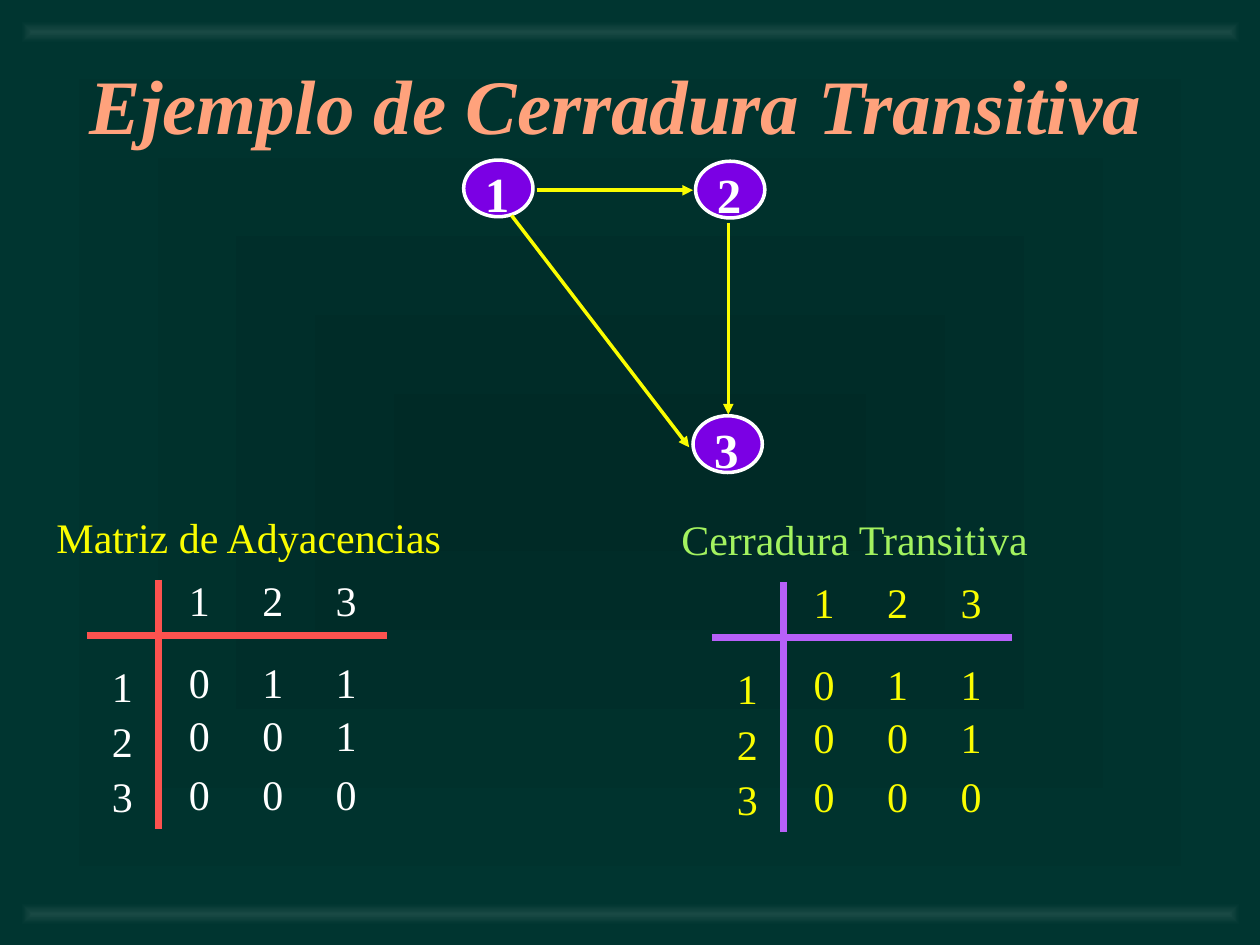
from lxml.etree import SubElement
from pptx import Presentation
from pptx.dml.color import RGBColor
from pptx.enum.shapes import MSO_CONNECTOR as CONNECTOR, MSO_SHAPE as SHAPE
from pptx.enum.text import MSO_ANCHOR as ANCHOR, PP_ALIGN as ALIGN
from pptx.oxml.ns import qn
from pptx.util import Inches, Pt

FONT = "Times New Roman"
COLORS = {
    "center": "002A26", "edge": "003530", "bar": "194944",
    "title": "FFA27C", "node": "7B00E4", "white": "FFFFFF",
    "yellow": "FAFD00", "red": "FC524F", "purple": "B760F9", "green": "A3F25F",
}
COLUMN_PITCH = 0.583


def rgb(name):
    return RGBColor.from_string(COLORS[name])


def fill_from_center(fill, element, inner, outer):
    """Give a fill a rectangular gradient that starts at its centre."""
    fill.gradient()
    for stop, name, position in zip(fill.gradient_stops, (inner, outer), (0, 1)):
        stop.color.rgb = rgb(name)
        stop.position = position
    gradient = element.find(".//" + qn("a:gradFill"))
    gradient.remove(gradient.find(qn("a:lin")))
    path = SubElement(gradient, qn("a:path"), path="rect")
    SubElement(path, qn("a:fillToRect"), l="50000", t="50000", r="50000", b="50000")


def add_text(page, left, top, width, height, lines, color, size=24, bold=False,
             italic=False, align=ALIGN.LEFT, spacing=None):
    box = page.shapes.add_textbox(Inches(left), Inches(top), Inches(width), Inches(height))
    frame = box.text_frame
    frame.word_wrap = True
    frame.text = "\n".join(lines)
    for para in frame.paragraphs:
        para.alignment = align
        if spacing:
            para.line_spacing = spacing
        for span in para.runs:
            font = span.font
            font.name, font.size, font.bold, font.italic = FONT, Pt(size), bold, italic
            font.color.rgb = rgb(color)
    return box


def add_line(page, start, end, color, width, arrow=False):
    line = page.shapes.add_connector(
        CONNECTOR.STRAIGHT, *(Inches(value) for value in (*start, *end)))
    line.line.color.rgb = rgb(color)
    line.line.width = Pt(width)
    if arrow:
        SubElement(line.line._get_or_add_ln(), qn("a:tailEnd"), type="triangle")
    SubElement(line._element.spPr, qn("a:effectLst"))


def add_background(page):
    fill_from_center(page.background.fill, page.element, "center", "edge")
    for top in (0.17, 7.17):
        bar = page.shapes.add_shape(
            SHAPE.RECTANGLE, Inches(0.17), Inches(top), Inches(9.67), Inches(0.17))
        bar.shadow.inherit = False
        bar.line.fill.background()
        fill_from_center(bar.fill, bar._element, "bar", "edge")


def add_title(page, left, top, width, height):
    box = add_text(page, left, top, width, height, ["Ejemplo de Cerradura Transitiva"],
                   "title", size=44, bold=True, italic=True, align=ALIGN.CENTER)
    box.text_frame.vertical_anchor = ANCHOR.MIDDLE


def add_graph(page, left, top):
    nodes = {"1": (0, 0), "2": (1.84, 0.01), "3": (1.82, 2.03)}
    edges = [((0.58, 0.24), (1.82, 0.24)),
             ((0.38, 0.44), (1.79, 2.28)),
             ((2.1, 0.5), (2.1, 2.02))]
    for x, y in nodes.values():
        node = page.shapes.add_shape(
            SHAPE.OVAL, Inches(left + x), Inches(top + y), Inches(0.55), Inches(0.45))
        node.shadow.inherit = False
        node.fill.solid()
        node.fill.fore_color.rgb = rgb("node")
        node.line.color.rgb = rgb("white")
        node.line.width = Pt(2)
    for edge in edges:
        start, end = ((left + x, top + y) for x, y in edge)
        add_line(page, start, end, "yellow", 2, arrow=True)
    for name, (x, y) in nodes.items():
        add_text(page, left + x + 0.07, top + y - 0.02, 0.42, 0.57, [name],
                 "white", size=28, bold=True)


def add_matrix_row(page, left, top, values, color):
    box = add_text(page, left, top, 1.65, 0.5, ["\t".join(values)], color)
    properties = box.text_frame.paragraphs[0]._p.get_or_add_pPr()
    tabs = SubElement(properties, qn("a:tabLst"))
    for column in range(1, len(values)):
        SubElement(tabs, qn("a:tab"), pos=str(Inches(column * COLUMN_PITCH)), algn="l")


def add_matrix(page, left, top, heading, heading_color, line_color, text_color):
    add_line(page, (left + 0.91, top + 0.59), (left + 0.91, top + 2.57), line_color, 4)
    add_line(page, (left + 0.34, top + 1.03), (left + 2.72, top + 1.03), line_color, 4)
    add_text(page, left, top, 3.27, 0.5, [heading], heading_color)
    add_text(page, left + 0.44, top + 1.14, 0.4, 1.42, "123", text_color, spacing=1.1)
    rows = {0.5: "123", 1.15: "011", 1.57: "001", 2.04: "000"}
    for offset, values in rows.items():
        add_matrix_row(page, left + 1.05, top + offset, values, text_color)


def main():
    deck = Presentation()
    deck.slide_width, deck.slide_height = Inches(10), Inches(7.5)
    page = deck.slides.add_slide(deck.slide_layouts[6])
    add_background(page)
    add_title(page, 0.26, 0.2, 9.26, 1.25)
    add_graph(page, 3.68, 1.27)
    add_matrix(page, 0.35, 4.01, "Matriz de Adyacencias", "yellow", "red", "white")
    add_matrix(page, 5.31, 4.03, "Cerradura Transitiva", "green", "purple", "yellow")
    deck.save("out.pptx")


if __name__ == "__main__":
    main()
